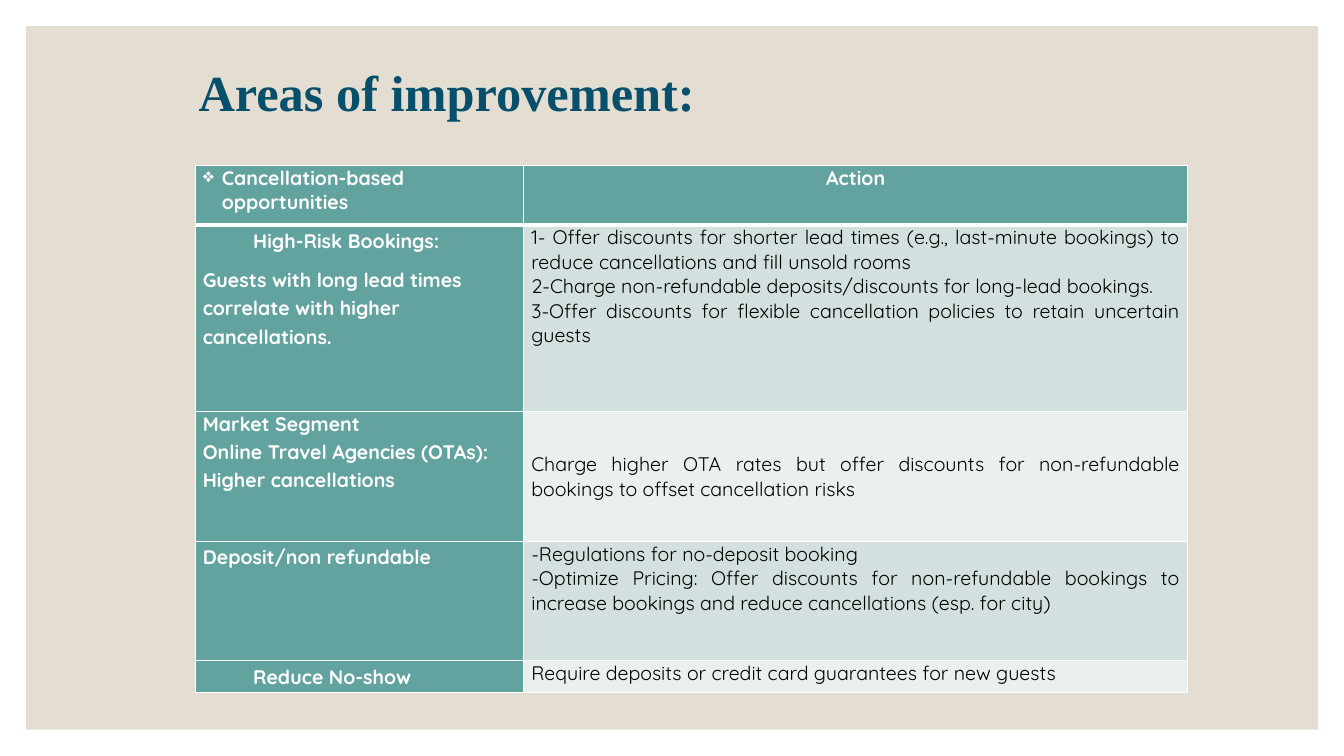
from lxml import etree
from pptx import Presentation
from pptx.dml.color import RGBColor
from pptx.enum.shapes import MSO_SHAPE
from pptx.enum.text import MSO_ANCHOR, MSO_AUTO_SIZE, PP_ALIGN
from pptx.oxml.ns import qn
from pptx.util import Cm, Pt

RECTANGLE = MSO_SHAPE.RECTANGLE
TOP, MIDDLE = MSO_ANCHOR.TOP, MSO_ANCHOR.MIDDLE
LEFT, CENTER, JUSTIFY = PP_ALIGN.LEFT, PP_ALIGN.CENTER, PP_ALIGN.JUSTIFY
NO_AUTOFIT = MSO_AUTO_SIZE.NONE

COLORS = {
    "panel": "E3DED1",
    "title": "074F6A",
    "teal": "62A39F",
    "band_dark": "D3E0DF",
    "band_light": "EAF0F0",
    "white": "FFFFFF",
    "black": "000000",
}
TITLE_FONT, BODY_FONT = "Times New Roman", "Quicksand"
COL_WIDTHS = (8.28, 16.73)
ROW_HEIGHTS = (1.5, 4.7, 3.28, 3.0, 0.79)

PLAIN = {}
BULLET = {"indent": 0.48, "bullet": "❖"}
SPACED = {"spacing": 1.15, "after": 8}
INDENTED = {"indent": 1.27, **SPACED}
CENTERED = {"align": CENTER}
JUSTIFIED = {"align": JUSTIFY}

ROWS = [
    ([("Cancellation-based opportunities", BULLET)],
     [("Action", CENTERED)]),
    ([("High-Risk Bookings:", INDENTED),
      ("Guests with long lead times correlate with higher cancellations.", SPACED)],
     [("1- Offer discounts for shorter lead times (e.g., last-minute bookings) "
       "to reduce cancellations and fill unsold rooms", JUSTIFIED),
      ("2-Charge non-refundable deposits/discounts for long-lead bookings.", JUSTIFIED),
      ("3-Offer discounts for flexible cancellation policies to retain "
       "uncertain guests", JUSTIFIED)]),
    ([("Market Segment", PLAIN),
      ("Online Travel Agencies (OTAs): Higher cancellations", SPACED)],
     [("Charge higher OTA rates but offer discounts for non-refundable bookings "
       "to offset cancellation risks", JUSTIFIED)]),
    ([("Deposit/non refundable", SPACED)],
     [("-Regulations for no-deposit booking", JUSTIFIED),
      ("-Optimize Pricing: Offer discounts for non-refundable bookings to "
       "increase bookings and reduce cancellations (esp. for city)", JUSTIFIED)]),
    ([("Reduce No-show", INDENTED)],
     [("Require deposits or credit card guarantees for new guests", JUSTIFIED)]),
]
MIDDLE_CELL = (2, 1)


def rgb(name):
    """Return a palette colour."""
    return RGBColor.from_string(COLORS[name])


def add_run(p, text, font, size, color, bold):
    """Add one formatted run to a paragraph."""
    r = p.add_run()
    r.text = text
    r.font.name, r.font.size, r.font.bold = font, Pt(size), bold
    r.font.color.rgb = rgb(color)


def add_panel(s, left, top, width, height):
    """Place the beige panel behind the title."""
    sp = s.shapes.add_shape(RECTANGLE, Cm(left), Cm(top), Cm(width), Cm(height))
    sp.shadow.inherit = False
    sp.fill.solid()
    sp.fill.fore_color.rgb = rgb("panel")
    sp.line.fill.background()
    s.shapes.title.element.addprevious(sp.element)


def add_title(s, left, top, width, height):
    """Move and format the title placeholder."""
    sp = s.shapes.title
    sp.left, sp.top, sp.width, sp.height = Cm(left), Cm(top), Cm(width), Cm(height)
    tf = sp.text_frame
    tf.word_wrap, tf.auto_size, tf.vertical_anchor = True, NO_AUTOFIT, MIDDLE
    p = tf.paragraphs[0]
    p.alignment, p.line_spacing = LEFT, 0.9
    add_run(p, "Areas of improvement:", TITLE_FONT, 36, "title", True)


def format_paragraph(p, style):
    """Apply alignment, spacing, indent and bullet to a paragraph."""
    p.alignment = style.get("align", LEFT)
    if "spacing" in style:
        p.line_spacing, p.space_after = style["spacing"], Pt(style["after"])
    if "indent" in style:
        pPr = p._p.get_or_add_pPr()
        pPr.set("marL", str(Cm(style["indent"])))
        pPr.set("indent", str(-Cm(style["indent"]) if "bullet" in style else 0))
        if "bullet" in style:
            etree.SubElement(pPr, qn("a:buChar")).set("char", style["bullet"])


def set_borders(cell, widths):
    """Draw white borders, with widths for left, right, top and bottom."""
    tcPr = cell._tc.get_or_add_tcPr()
    for i, (side, width) in enumerate(zip("LRTB", widths)):
        ln = etree.Element(qn(f"a:ln{side}"), w=str(Pt(width)))
        fill = etree.SubElement(ln, qn("a:solidFill"))
        etree.SubElement(fill, qn("a:srgbClr")).set("val", COLORS["white"])
        tcPr.insert(i, ln)


def fill_cell(cell, row, col, paragraphs):
    """Fill and format one table cell."""
    strong = row == 0 or col == 0
    band = "band_dark" if row % 2 else "band_light"
    cell.fill.solid()
    cell.fill.fore_color.rgb = rgb("teal" if strong else band)
    cell.margin_left = cell.margin_right = Cm(0.19)
    cell.margin_top = cell.margin_bottom = 0
    cell.vertical_anchor = MIDDLE if (row, col) == MIDDLE_CELL else TOP
    set_borders(cell, (1, 1, 3 if row == 1 else 1, 3 if row == 0 else 1))
    tf = cell.text_frame
    for i, (text, style) in enumerate(paragraphs):
        p = tf.add_paragraph() if i else tf.paragraphs[0]
        format_paragraph(p, style)
        add_run(p, text, BODY_FONT, 14, "white" if strong else "black", strong)


def add_actions_table(s, left, top):
    """Add the table of opportunities and actions."""
    table = s.shapes.add_table(
        len(ROWS), len(COL_WIDTHS), Cm(left), Cm(top),
        Cm(sum(COL_WIDTHS)), Cm(sum(ROW_HEIGHTS))).table
    for column, width in zip(table.columns, COL_WIDTHS):
        column.width = Cm(width)
    for i, (height, cells) in enumerate(zip(ROW_HEIGHTS, ROWS)):
        table.rows[i].height = Cm(height)
        for j, paragraphs in enumerate(cells):
            fill_cell(table.cell(i, j), i, j, paragraphs)


def main():
    """Build and save the slide."""
    prs = Presentation()
    prs.slide_width, prs.slide_height = Cm(33.87), Cm(19.05)
    s = prs.slides.add_slide(prs.slide_layouts[5])
    add_panel(s, 0.66, 0.66, 32.56, 17.73)
    add_title(s, 4.75, 1.22, 27.94, 2.36)
    add_actions_table(s, 4.92, 4.17)
    prs.save("out.pptx")


if __name__ == "__main__":
    main()
